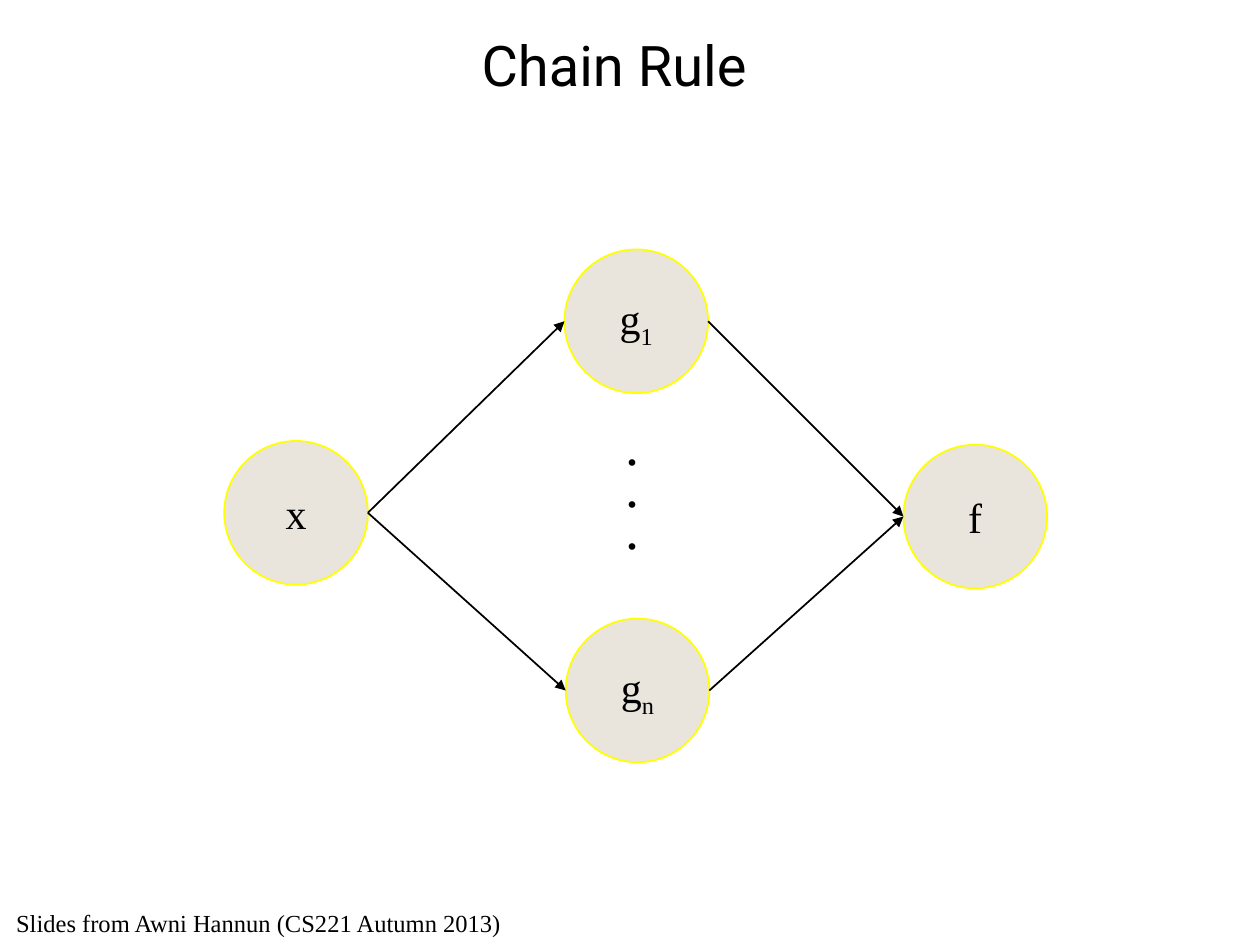
from pptx import Presentation
from pptx import util as u
from pptx.dml.color import RGBColor
from pptx.enum import shapes, text
from pptx.oxml import parse_xml
from pptx.oxml.ns import nsdecls

BLACK = RGBColor(0x00, 0x00, 0x00)
YELLOW = RGBColor(0xFF, 0xFF, 0x00)
SAND = RGBColor(0xE9, 0xE5, 0xDC)
SERIF, SANS = "Times New Roman", "Roboto"
NODE_SIZE = 1.14


def write(para, words, *, size, font=SERIF, color=BLACK, subscript=False):
    """Add one formatted span to a paragraph."""
    span = para.add_run()
    span.text = words
    span.font.size = u.Pt(size)
    span.font.name = font
    span.font.color.rgb = color
    if subscript:
        span._r.get_or_add_rPr().set("baseline", "-25000")


class Diagram:
    """Style of the graph and the slide it is drawn on."""

    def __init__(self, page):
        self.page = page

    def node(self, left, top, name, index=""):
        circle = self.page.shapes.add_shape(
            shapes.MSO_SHAPE.OVAL, u.Inches(left), u.Inches(top),
            u.Inches(NODE_SIZE), u.Inches(NODE_SIZE))
        circle.shadow.inherit = False
        circle.fill.solid()
        circle.fill.fore_color.rgb = SAND
        circle.line.color.rgb = YELLOW
        circle.line.width = u.Pt(1)
        frame = circle.text_frame
        frame.vertical_anchor = text.MSO_ANCHOR.MIDDLE
        para = frame.paragraphs[0]
        para.alignment = text.PP_ALIGN.CENTER
        write(para, name, size=24)
        if index:
            write(para, index, size=24, subscript=True)
        return circle

    def arrow(self, source, target):
        """Arrow from the right of one node to the left of another."""
        edge = self.page.shapes.add_connector(
            shapes.MSO_CONNECTOR.STRAIGHT,
            source.left + source.width, source.top + source.height // 2,
            target.left, target.top + target.height // 2)
        edge.line.color.rgb = BLACK
        edge.line.width = u.Pt(1)
        edge.line._get_or_add_ln().append(
            parse_xml(f'<a:tailEnd {nsdecls("a")} type="triangle"/>'))
        edge._element.spPr.append(parse_xml(f'<a:effectLst {nsdecls("a")}/>'))

    def label(self, left, top, width, height, lines, *, align=text.PP_ALIGN.LEFT,
              anchor=text.MSO_ANCHOR.TOP, spacing=None, **style):
        box = self.page.shapes.add_textbox(
            u.Inches(left), u.Inches(top), u.Inches(width), u.Inches(height))
        frame = box.text_frame
        frame.word_wrap = True
        frame.vertical_anchor = anchor
        for number, words in enumerate(lines):
            para = frame.add_paragraph() if number else frame.paragraphs[0]
            para.alignment = align
            if spacing:
                para.line_spacing = u.Pt(spacing)
            write(para, words, **style)


def main():
    deck = Presentation()
    deck.slide_width, deck.slide_height = u.Inches(10), u.Inches(7.5)
    diagram = Diagram(deck.slides.add_slide(deck.slide_layouts[6]))

    # Title
    diagram.label(2.01, 0.15, 5.73, 0.72, ["Chain Rule"], size=32, font=SANS,
                  align=text.PP_ALIGN.CENTER, anchor=text.MSO_ANCHOR.MIDDLE)

    # Nodes: input, intermediate functions, output
    start = diagram.node(1.78, 3.5, "x")
    middle = [diagram.node(4.48, 1.98, "g", "1"),
              diagram.node(4.49, 4.91, "g", "n")]
    end = diagram.node(7.17, 3.53, "f")

    # Arrows through each intermediate function
    for function in middle:
        diagram.arrow(start, function)
        diagram.arrow(function, end)

    # Vertical dots between the first and last function
    diagram.label(4.52, 3.4, 1, 1.1, [".", ".", "."], size=32, spacing=24,
                  align=text.PP_ALIGN.CENTER)

    # Credit
    diagram.label(0.03, 7.16, 4.74, 0.34,
                  ["Slides from Awni Hannun (CS221 Autumn 2013)"], size=14)

    deck.save("out.pptx")


if __name__ == "__main__":
    main()
